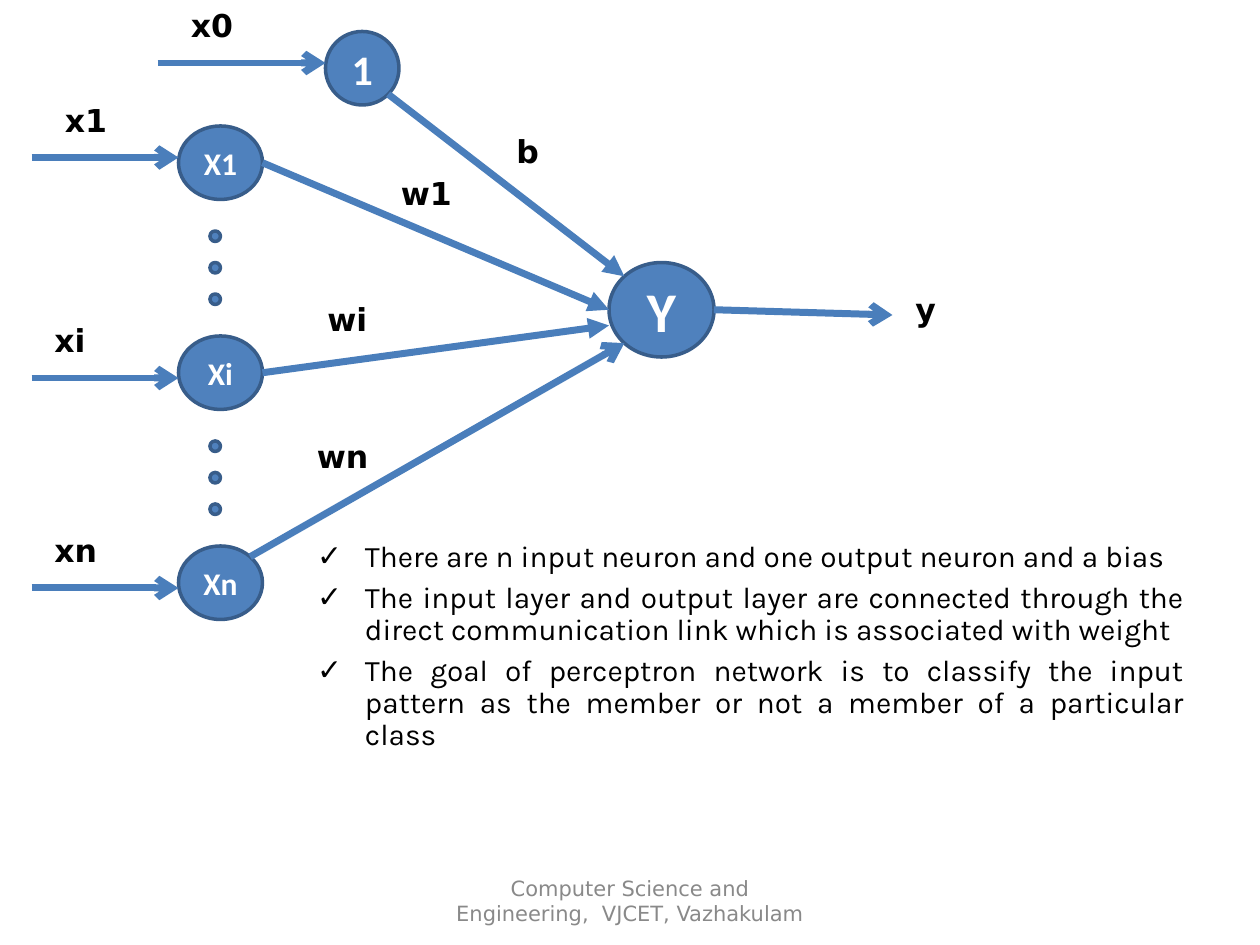
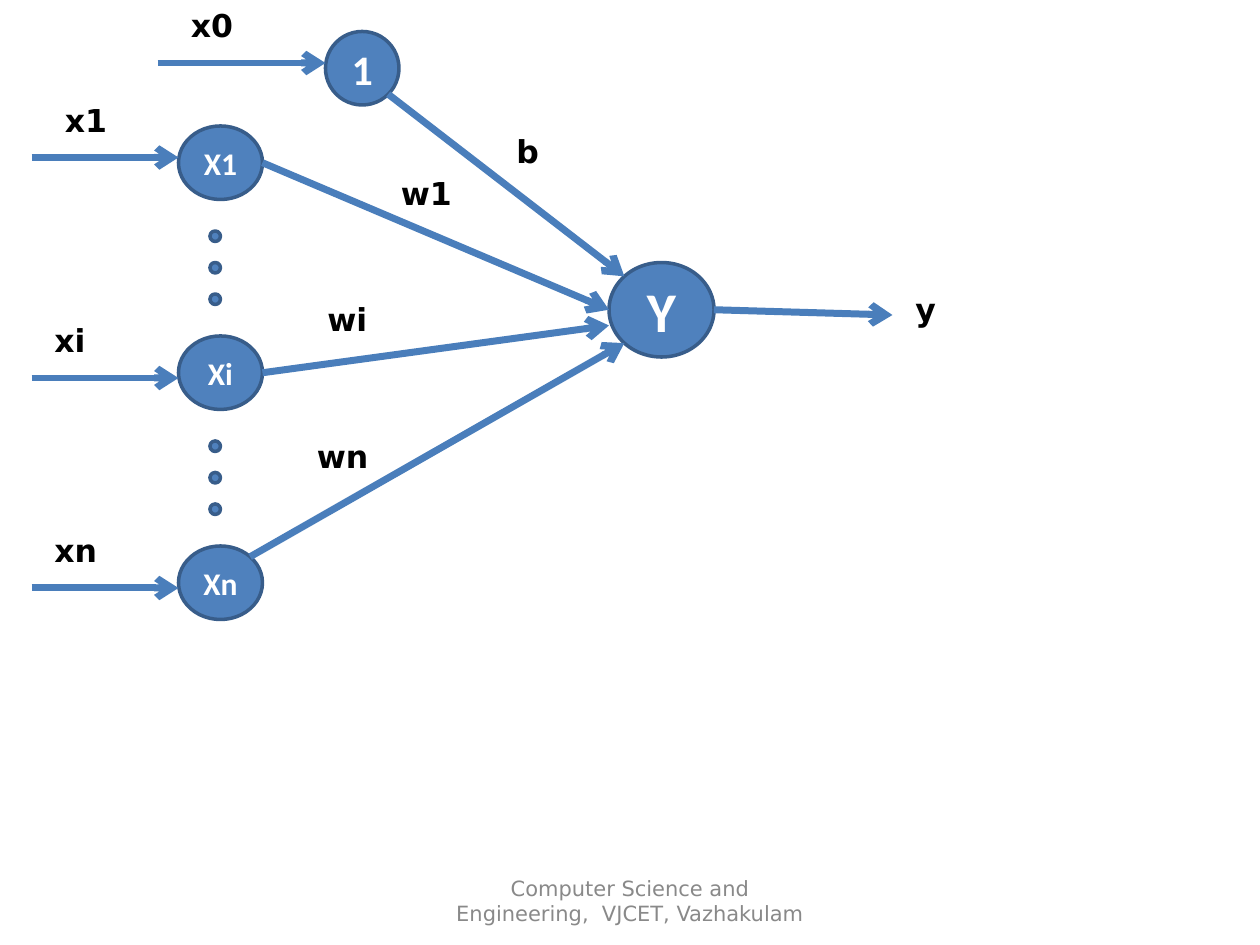
from math import cos, radians, sin

from lxml import etree
from pptx import Presentation
from pptx.dml.color import RGBColor
from pptx.enum.shapes import MSO_CONNECTOR, MSO_SHAPE
from pptx.enum.text import MSO_ANCHOR, MSO_AUTO_SIZE, PP_ALIGN
from pptx.oxml.ns import qn
from pptx.util import Inches, Pt

ELLIPSE = MSO_SHAPE.OVAL
STRAIGHT = MSO_CONNECTOR.STRAIGHT
MIDDLE = MSO_ANCHOR.MIDDLE
NO_FIT = MSO_AUTO_SIZE.NONE
CENTER, JUSTIFY, LEFT = PP_ALIGN.CENTER, PP_ALIGN.JUSTIFY, PP_ALIGN.LEFT
CONTENT_LAYOUT, BLANK_LAYOUT = 1, 6

WIDTH, HEIGHT = 10, 7.5
COLUMNS = 120
CELL = WIDTH / COLUMNS

FOOTER = "Computer Science and Engineering,  VJCET, Vazhakulam"
FACTS = [
    "There are n input neuron and one output neuron and a bias",
    "The input layer and output layer are connected through the direct "
    "communication link which is associated with weight",
    "The goal of perceptron network is to classify the input pattern as "
    "the member or not a member of a particular class",
]
SLIDES = [
    {"facts": FACTS, "solid_heads": ("1", "X1", "Xi")},
    {"facts": [], "solid_heads": ()},
]

NEURONS = {
    "1": (31, 3, 7, 7, 24),
    "X1": (17, 12, 8, 7, 18),
    "Xi": (17, 32, 8, 7, 18),
    "Xn": (17, 52, 8, 7, 18),
    "Y": (58, 25, 10, 9, 32),
}
DOT_COLUMN, DOT_SIZE, DOT_STEP, DOTS_PER_GAP = 20, 1, 3, 3
DOT_GAP_ROWS = [22, 42]
RIGHT_ANGLE, LEFT_ANGLE = 0, 180
WEIGHTS = [
    ("1", 45, 225),
    ("X1", RIGHT_ANGLE, LEFT_ANGLE),
    ("Xi", RIGHT_ANGLE, None),
    ("Xn", -45, 135),
]
XI_TARGET = (58, 31)
OUTPUT_END = (85, 30)
INPUTS = [(15, 31, 6), (3, 17, 15), (3, 17, 36), (3, 17, 56)]
LABELS = [
    ("x0", 17, 0, 7), ("x1", 5, 9, 7), ("xi", 4, 30, 7), ("xn", 4, 50, 7),
    ("b", 48, 12, 7), ("w1", 37, 16, 9), ("wi", 30, 28, 9), ("wn", 29, 41, 9),
    ("y", 86, 27, 7),
]
LABEL_ROWS = 4.8
FACTS_AREA = (29, 51, 85, 31)
FOOTER_AREA = (41, 83.4, 38, LABEL_ROWS)
FACTS_INDENT = 0.38

NEURON_FILL, NEURON_EDGE, LINK = "4F81BD", "385D8A", "4A7EBB"
NEURON_FONT = {"name": "Calibri", "bold": True, "color": "FFFFFF"}
LABEL_FONT = {"name": "DejaVu Sans", "bold": True, "size": 18, "color": "000000"}
FACT_FONT = {"name": "Karla", "size": 17, "color": "000000"}
FOOTER_FONT = {"name": "DejaVu Sans", "size": 12, "color": "898989"}


def rgb(value):
    return RGBColor.from_string(value)


def grid(*cells):
    return [Inches(cell * CELL) for cell in cells]


def write(paragraph, text, style, align):
    paragraph.alignment = align
    run = paragraph.add_run()
    run.text = text
    for key, value in style.items():
        if key == "color":
            run.font.color.rgb = rgb(value)
        else:
            setattr(run.font, key, Pt(value) if key == "size" else value)


def add_ellipse(slide, area):
    ellipse = slide.shapes.add_shape(ELLIPSE, *grid(*area))
    ellipse.shadow.inherit = False
    ellipse.fill.solid()
    ellipse.fill.fore_color.rgb = rgb(NEURON_FILL)
    ellipse.line.color.rgb = rgb(NEURON_EDGE)
    ellipse.line.width = Pt(2)
    return ellipse


def add_neuron(slide, name, area, size):
    frame = add_ellipse(slide, area).text_frame
    frame.vertical_anchor = MIDDLE
    frame.word_wrap = False
    write(frame.paragraphs[0], name, {**NEURON_FONT, "size": size}, CENTER)


def rim(name, angle):
    left, top, width, height, _ = NEURONS[name]
    turn = radians(angle)
    return (left + width / 2 * (1 + cos(turn)),
            top + height / 2 * (1 + sin(turn)))


def add_arrow(slide, start, end, head="arrow"):
    arrow = slide.shapes.add_connector(STRAIGHT, *grid(*start, *end))
    arrow.line.color.rgb = rgb(LINK)
    arrow.line.width = Pt(4)
    properties = arrow._element.spPr
    etree.SubElement(properties.find(qn("a:ln")), qn("a:tailEnd"), type=head)
    etree.SubElement(properties, qn("a:effectLst"))


def add_text(slide, text, area, style, align):
    frame = slide.shapes.add_textbox(*grid(*area)).text_frame
    frame.word_wrap = True
    write(frame.paragraphs[0], text, style, align)
    return frame


def add_check(paragraph):
    properties = paragraph._p.get_or_add_pPr()
    properties.set("marL", str(Inches(FACTS_INDENT)))
    properties.set("indent", str(-Inches(FACTS_INDENT)))
    color = etree.SubElement(properties, qn("a:buClr"))
    etree.SubElement(color, qn("a:srgbClr"), val=FACT_FONT["color"])
    etree.SubElement(properties, qn("a:buChar"), char="✓")


def fill_facts(slide, facts):
    title, body = slide.shapes.title, slide.placeholders[1]
    title._element.getparent().remove(title._element)
    body.left, body.top, body.width, body.height = grid(*FACTS_AREA)
    frame = body.text_frame
    frame.auto_size = NO_FIT
    for index, fact in enumerate(facts):
        paragraph = frame.add_paragraph() if index else frame.paragraphs[0]
        add_check(paragraph)
        paragraph.line_spacing = 0.9
        paragraph.space_before = Pt(5 if index else 0)
        write(paragraph, fact, FACT_FONT, JUSTIFY)


def draw_network(slide, solid_heads):
    for name, (*area, size) in NEURONS.items():
        add_neuron(slide, name, area, size)
    for first_row in DOT_GAP_ROWS:
        for step in range(DOTS_PER_GAP):
            row = first_row + step * DOT_STEP
            add_ellipse(slide, (DOT_COLUMN, row, DOT_SIZE, DOT_SIZE))
    for source, leave, arrive in WEIGHTS:
        target = XI_TARGET if arrive is None else rim("Y", arrive)
        head = "triangle" if source in solid_heads else "arrow"
        add_arrow(slide, rim(source, leave), target, head)
    add_arrow(slide, rim("Y", RIGHT_ANGLE), OUTPUT_END)
    for start, end, row in INPUTS:
        add_arrow(slide, (start, row), (end, row))
    for label, left, top, width in LABELS:
        add_text(slide, label, (left, top, width, LABEL_ROWS), LABEL_FONT, LEFT)


def main():
    deck = Presentation()
    deck.slide_width, deck.slide_height = Inches(WIDTH), Inches(HEIGHT)
    for content in SLIDES:
        layout = CONTENT_LAYOUT if content["facts"] else BLANK_LAYOUT
        slide = deck.slides.add_slide(deck.slide_layouts[layout])
        if content["facts"]:
            fill_facts(slide, content["facts"])
        draw_network(slide, content["solid_heads"])
        footer = add_text(slide, FOOTER, FOOTER_AREA, FOOTER_FONT, CENTER)
        footer.vertical_anchor = MIDDLE
    deck.save("out.pptx")


if __name__ == "__main__":
    main()
